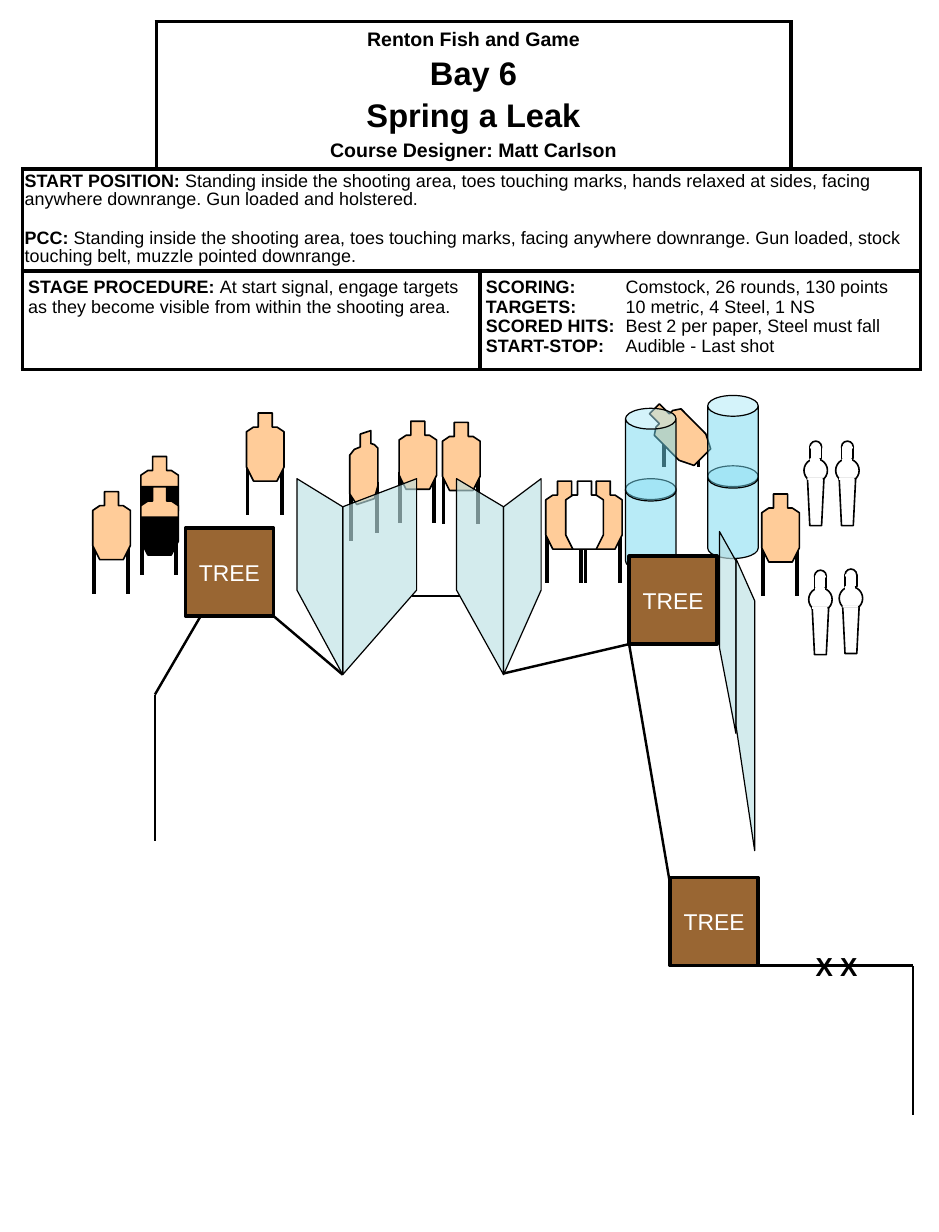
from lxml import etree
from pptx import Presentation
from pptx.dml.color import RGBColor
from pptx.enum.shapes import MSO_CONNECTOR, MSO_SHAPE
from pptx.enum.text import MSO_ANCHOR, PP_ALIGN
from pptx.oxml.ns import qn
from pptx.util import Inches, Pt

BLACK, WHITE = "000000", "FFFFFF"
CARDBOARD, BARK, GLASS, WATER = "FFCC99", "996633", "BBE0E3", "73D9F1"
FONT = "Arial"

SILHOUETTE = [(.1, 0), (.22, 0), (.22, .12), (.26, .12), (.32, .16), (.32, .46),
              (.26, .58), (.06, .58), (0, .46), (0, .16), (.06, .12), (.1, .12)]
TURNED = [(.09, .03), (.18, 0), (.18, .11), (.21, .12), (.24, .15), (.24, .47),
          (.21, .58), (.06, .63), (0, .54), (0, .21), (.04, .16), (.09, .14)]
LOWER_HALF = [(0, .25), (.32, .25), (.32, .47), (.26, .57), (.06, .57), (0, .47)]


def color(code):
    return RGBColor.from_string(code)


def paint(shape, fill, line=BLACK, weight=1.0, alpha=None):
    shape.shadow.inherit = False
    shape.fill.solid()
    shape.fill.fore_color.rgb = color(fill)
    if alpha:
        tint = shape.fill._xPr.find(qn("a:solidFill"))[0]
        etree.SubElement(tint, qn("a:alpha"), val=str(alpha * 1000))
    if line:
        shape.line.color.rgb = color(line)
        shape.line.width = Pt(weight)
    else:
        shape.line.fill.background()
    return shape


def block(shapes, kind, left, top, width, height, *look, **more):
    box = [Inches(v) for v in (left, top, width, height)]
    return paint(shapes.add_shape(kind, *box), *look, **more)


def outline(shapes, left, top, points, *look, **more):
    spots = [(Inches(left + x), Inches(top + y)) for x, y in points]
    builder = shapes.build_freeform(*spots[0])
    builder.add_line_segments(spots[1:], close=True)
    return paint(builder.convert_to_shape(), *look, **more)


def stroke(shapes, start, end, weight=1.5):
    ends = [Inches(v) for v in (*start, *end)]
    line = shapes.add_connector(MSO_CONNECTOR.STRAIGHT, *ends)
    line.line.color.rgb = color(BLACK)
    line.line.width = Pt(weight)
    etree.SubElement(line._element.spPr, qn("a:effectLst"))


def style(font, size, bold=False, code=BLACK):
    font.name, font.size, font.bold = FONT, Pt(size), bold
    font.color.rgb = color(code)


# Field parts
def target(page, left, top, points=SILHOUETTE, legs=None, angle=0):
    """Paper target on two legs; each leg is (x, top, bottom) from the corner."""
    shapes = page.shapes.add_group_shape().shapes
    for x, high, low in legs or [(.01, .43, .87), (.3, .43, .87)]:
        stroke(shapes, (left + x, top + high), (left + x, top + low), 2.25)
    outline(shapes, left, top, points, CARDBOARD).rotation = angle
    return shapes


def stacked_targets(page, left, top):
    shapes = target(page, left, top, legs=[(.01, .57, 1.01), (.3, .57, 1.01)])
    outline(shapes, left, top, LOWER_HALF, BLACK, None)
    outline(shapes, left, top + .26, SILHOUETTE, CARDBOARD)
    outline(shapes, left, top + .26, LOWER_HALF, BLACK, None)


def steel(page, left, top):
    shapes = page.shapes.add_group_shape().shapes
    oval, rect = MSO_SHAPE.OVAL, MSO_SHAPE.RECTANGLE
    block(shapes, oval, left, top, .1, .1, WHITE)
    block(shapes, oval, left - .05, top + .15, .2, .2, WHITE)
    outline(shapes, left - .02, top + .32,
            [(0, 0), (.14, 0), (.12, .4), (.02, .4)], WHITE)
    block(shapes, rect, left, top + .05, .1, .1, WHITE)
    # Covers over the joints
    block(shapes, rect, left - .02, top + .31, .13, .02, WHITE, None)
    block(shapes, rect, left + .01, top + .15, .07, .02, WHITE, WHITE)
    block(shapes, rect, left + .01, top + .05, .08, .01, WHITE, WHITE)


def barrels(page, left, top):
    shapes = page.shapes.add_group_shape().shapes
    for y in (top + .6, top):
        can = block(shapes, MSO_SHAPE.CAN, left, y, .43, .79, WATER, weight=.75, alpha=50)
        can.adjustments[0] = .413


def wall(page, edge, fold):
    """Clear panel between two uprights, each (x, top, bottom)."""
    (x1, top1, low1), (x2, top2, low2) = edge, fold
    outline(page.shapes, 0, 0, [(x1, low1), (x2, low2), (x2, top2), (x1, top1)],
            GLASS, weight=.75, alpha=64)


def tree(page, left, top):
    box = block(page.shapes, MSO_SHAPE.RECTANGLE, left, top, .75, .75, BARK, weight=2.25)
    frame = box.text_frame
    frame.word_wrap = False
    frame.vertical_anchor = MSO_ANCHOR.MIDDLE
    para = frame.paragraphs[0]
    para.text, para.alignment = "TREE", PP_ALIGN.CENTER
    style(para.font, 14, code=WHITE)


# Stage briefing
def borders(cell, sides):
    props = cell._tc.get_or_add_tcPr()
    for index, side in enumerate(s for s in "LRTB" if s in sides):
        line = etree.Element(qn("a:ln" + side), w=str(Pt(2.25)))
        fill = etree.SubElement(line, qn("a:solidFill"))
        etree.SubElement(fill, qn("a:srgbClr"), val=BLACK)
        props.insert(index, line)


def write(cell, entries, inset=(.05, .05)):
    """Fill a cell with paragraphs of (bold lead, plain rest)."""
    cell.margin_left = cell.margin_right = Inches(inset[0])
    cell.margin_top = cell.margin_bottom = Inches(inset[1])
    frame = cell.text_frame
    for index, (lead, rest) in enumerate(entries):
        para = frame.add_paragraph() if index else frame.paragraphs[0]
        for words, bold in ((lead, True), (rest, False)):
            span = para.add_run()
            span.text = words
            style(span.font, 11, bold)
    return frame.paragraphs


def briefing(page, left, top, widths, heights):
    box = [Inches(v) for v in (left, top, sum(widths), sum(heights))]
    table = page.shapes.add_table(3, 4, *box).table
    table.first_row = table.horz_banding = False
    for column, width in zip(table.columns, widths):
        column.width = Inches(width)
    for row, height in zip(table.rows, heights):
        row.height = Inches(height)
    for row, first, last in [(0, 1, 2), (1, 0, 3), (2, 0, 1), (2, 2, 3)]:
        table.cell(row, first).merge(table.cell(row, last))
    for row in range(3):
        for column in range(4):
            cell = table.cell(row, column)
            cell.fill.solid()
            cell.fill.fore_color.rgb = color(WHITE)
            corner = {(0, 0): "RB", (0, 3): "LB"}.get((row, column))
            borders(cell, corner or ("RTB" if cell.is_spanned else "LRTB"))

    # Heading
    cell = table.cell(0, 1)
    cell.vertical_anchor = MSO_ANCHOR.MIDDLE
    cell.margin_top = cell.margin_bottom = Inches(.05)
    lines = [("Renton Fish and Game", 12), ("Bay 6", 20), ("Spring a Leak", 20),
             ("Course Designer: Matt Carlson", 12)]
    for index, (words, size) in enumerate(lines):
        para = cell.text_frame.add_paragraph() if index else cell.text_frame.paragraphs[0]
        para.text, para.alignment = words, PP_ALIGN.CENTER
        if index:
            para.space_before = Pt(3.5)
        style(para.font, size, True)

    # Start, procedure and scoring
    paras = write(table.cell(1, 0), [
        ("START POSITION:", " Standing inside the shooting area, toes touching marks, hands "
         "relaxed at sides, facing anywhere downrange. Gun loaded and holstered."),
        ("PCC: ", "Standing inside the shooting area, toes touching marks, facing anywhere "
         "downrange. Gun loaded, stock touching belt, muzzle pointed downrange.")], (.02, .04))
    for para in paras:
        para.line_spacing = .9
    paras[1].space_before = Pt(12.5)
    write(table.cell(2, 0), [("STAGE PROCEDURE: ", "At start signal, engage targets as they "
                              "become visible from within the shooting area.")])
    paras = write(table.cell(2, 2), [
        ("SCORING:", "\tComstock, 26 rounds, 130 points"),
        ("TARGETS:", "\t10 metric, 4 Steel, 1 NS"),
        ("SCORED HITS:", "\tBest 2 per paper, Steel must fall"),
        ("START-STOP:", "\tAudible - Last shot")])
    for para in paras:
        stops = etree.SubElement(para._p.get_or_add_pPr(), qn("a:tabLst"))
        etree.SubElement(stops, qn("a:tab"), pos=str(Inches(1.19)), algn="l")


def start_marks(page, left, top):
    box = page.shapes.add_textbox(*[Inches(v) for v in (left, top, .58, .37)])
    box.text_frame.word_wrap = False
    para = box.text_frame.paragraphs[0]
    para.text = "X X"
    style(para.font, 16, True)


def field(page):
    # Targets behind the barrels and walls
    target(page, 5.62, 3.4, legs=[(.04, .15, .58), (.33, .37, .58)], angle=315.3)
    barrels(page, 5.33, 3.48)
    barrels(page, 6.03, 3.37)
    target(page, 2.98, 3.67, TURNED, [(.01, .51, .94), (.23, .44, .87)])
    for spot in [(3.4, 3.59), (3.77, 3.6)]:
        target(page, *spot)
    # Trees and fault lines
    for spot in [(5.36, 4.74), (1.58, 4.5), (5.71, 7.48)]:
        tree(page, *spot)
    for route in [[(2.92, 5.75), (2.33, 5.25)], [(1.71, 5.25), (1.32, 5.92), (1.32, 7.17)],
                  [(3.92, 5.08), (3.51, 5.08)], [(4.29, 5.74), (5.36, 5.49), (5.71, 7.54)],
                  [(6.44, 8.23), (7.78, 8.23), (7.78, 9.5)]]:
        for start, end in zip(route, route[1:]):
            stroke(page.shapes, start, end)
    # Walls
    for edge, fold in [(3.55, 2.92), (3.89, 4.29), (2.53, 2.92), (4.61, 4.29)]:
        wall(page, (edge, 4.08, 5.03), (fold, 4.32, 5.75))
    wall(page, (6.13, 4.53, 5.52), (6.27, 4.78, 6.25))
    wall(page, (6.27, 4.76, 6.18), (6.43, 5.12, 7.25))
    # Targets in the open
    for spot in [(2.1, 3.52), (.79, 4.19), (4.65, 4.1), (4.98, 4.1), (6.49, 4.21)]:
        target(page, *spot)
    outline(page.shapes, 4.82, 4.1, SILHOUETTE, WHITE)
    stacked_targets(page, 1.2, 3.89)
    for spot in [(7.17, 3.76), (6.9, 3.76), (7.2, 4.85), (6.94, 4.86)]:
        steel(page, *spot)
    start_marks(page, 6.85, 8.05)


def main():
    deck = Presentation()
    deck.slide_width, deck.slide_height = Inches(8), Inches(10.5)
    page = deck.slides.add_slide(deck.slide_layouts[6])
    briefing(page, .19, .18, [1.14, 2.76, 2.65, 1.1], [1.26, .87, .84])
    field(page)
    deck.save("out.pptx")


if __name__ == "__main__":
    main()
